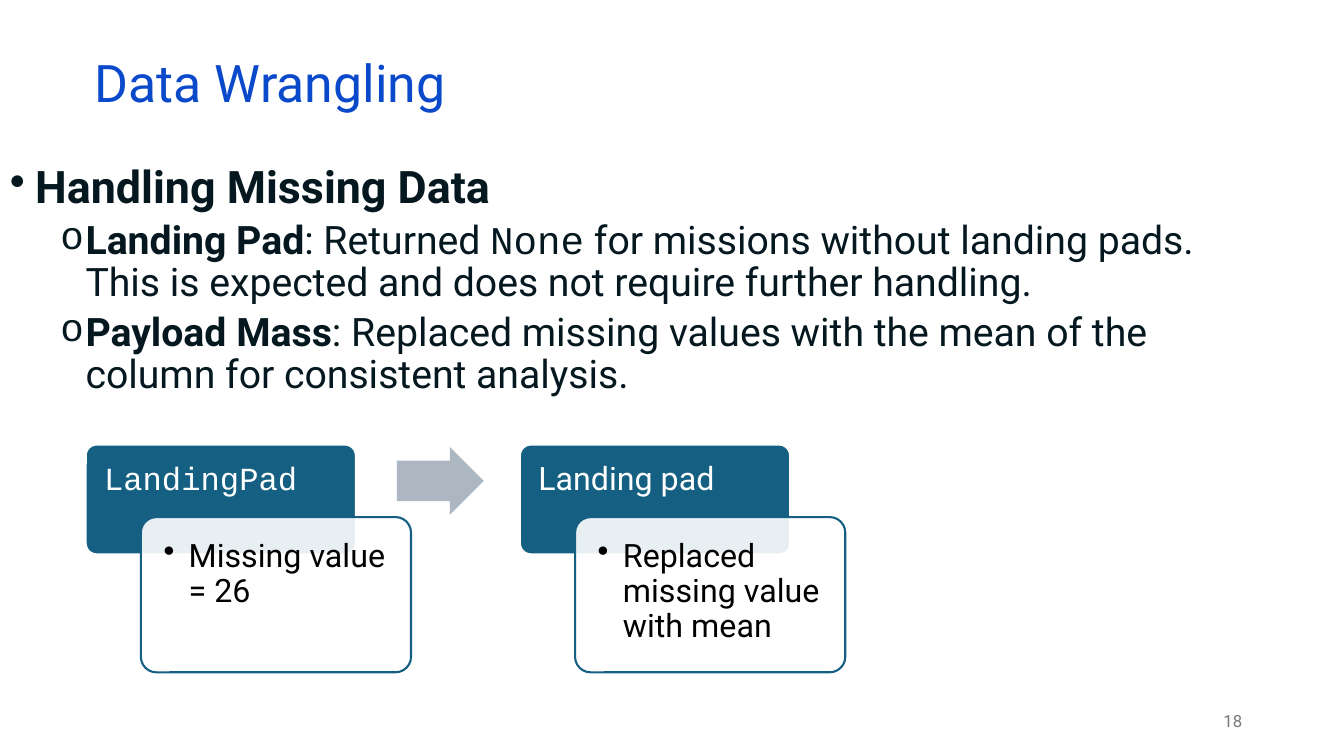
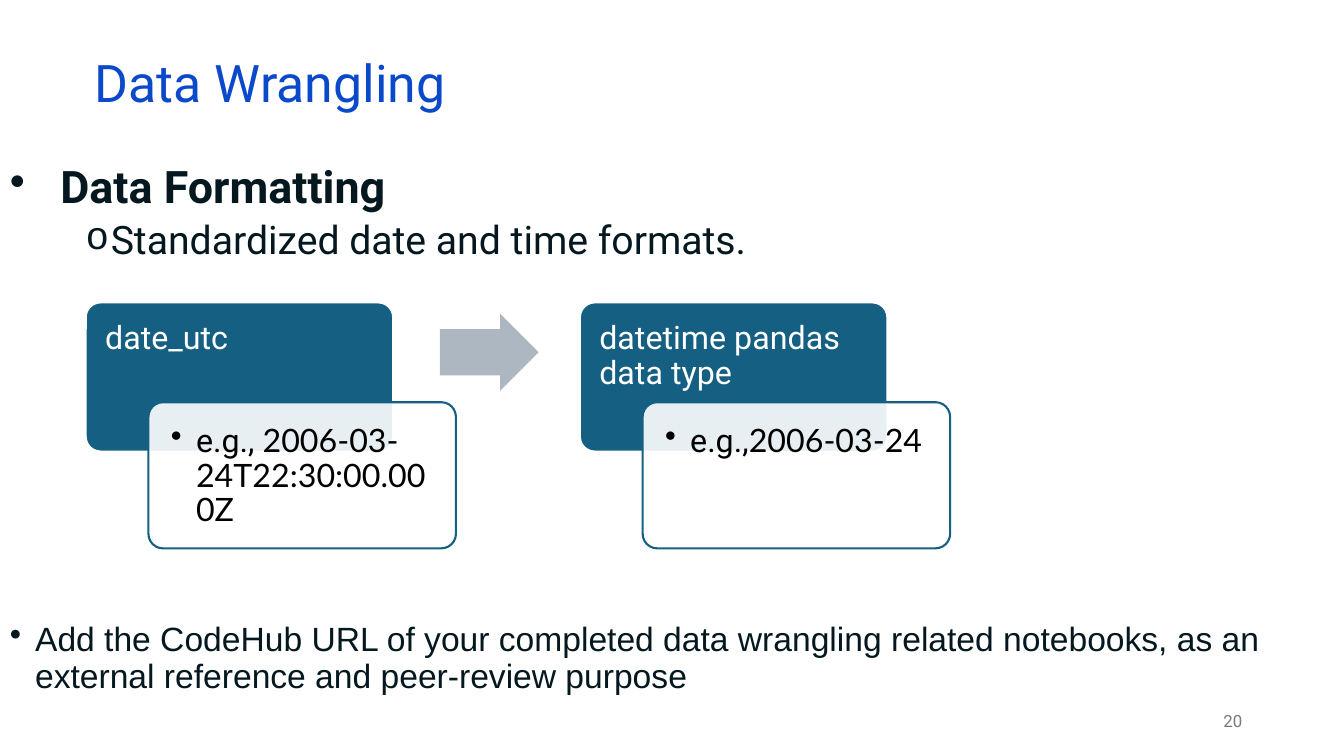
from lxml import etree
from pptx import Presentation
from pptx.dml.color import RGBColor
from pptx.enum.shapes import MSO_SHAPE
from pptx.enum.text import MSO_ANCHOR, MSO_AUTO_SIZE, PP_ALIGN
from pptx.oxml.ns import qn
from pptx.util import Inches, Pt

ROUNDED, ARROW = MSO_SHAPE.ROUNDED_RECTANGLE, MSO_SHAPE.RIGHT_ARROW
TOP, MIDDLE = MSO_ANCHOR.TOP, MSO_ANCHOR.MIDDLE
LEFT, RIGHT = PP_ALIGN.LEFT, PP_ALIGN.RIGHT
FIXED = MSO_AUTO_SIZE.NONE

BLUE, INK, GREY = "0B49CB", "051820", "797979"
TEAL, SILVER, WHITE, BLACK = "156082", "ACB7C1", "FFFFFF", "000000"
SANS, MONO, DIGITS, PLAIN = "Roboto", "Courier New", "Lato", "Arial"

TITLE = "Data Wrangling"
BOLD = {"bold": True}
HEADING = {"size": 32, "bullet": "•", "bold": True}
POINT = {"size": 28, "bullet": "o", "bullet_font": MONO, "before": 5, "hang": 0.25}
NOTE = {"size": 24, "bullet": "•", "font": PLAIN, "indent": 0.25, "hang": 0.25}

SLIDES = [
    {
        "number": "18",
        "texts": [
            (1.59, 2.5, [
                ("Handling Missing Data", {**HEADING, "indent": 0.25, "hang": 0.25}),
                ([("Landing Pad", BOLD), ": Returned ", ("None", {"font": MONO}),
                  " for missions without landing pads. This is expected and does "
                  "not require further handling."], {**POINT, "indent": 0.75}),
                ([("Payload Mass", BOLD),
                  ": Replaced missing values with the mean of the column for "
                  "consistent analysis."], {**POINT, "indent": 0.75}),
            ]),
        ],
        "flow": {
            "top": 4.41, "width": 2.68, "head": 1.09, "drop": 0.72, "card": 1.54,
            "steps": [
                ([("LandingPad", {"font": MONO})], "Missing value = 26"),
                ("Landing pad", "Replaced missing value with mean"),
            ],
        },
    },
    {
        "number": "20",
        "texts": [
            (1.59, 1.2, [
                ("Data Formatting", {**HEADING, "indent": 0.5, "hang": 0.5}),
                ("Standardized date and time formats.", {**POINT, "indent": 1}),
            ]),
            (6.13, 0.85, [
                ("Add the CodeHub URL of your completed data wrangling related "
                 "notebooks, as an external reference and peer-review purpose", NOTE),
            ]),
        ],
        "flow": {
            "top": 3, "width": 3.05, "head": 1.48, "drop": 0.99, "card": 1.45,
            "steps": [
                ("date_utc",
                 ["e.g., ", ("2006-03-24T22:30:00.000Z", {"font": DIGITS})]),
                ("datetime pandas data type",
                 ["e.g.,", ("2006-03-24", {"font": DIGITS})]),
            ],
        },
    },
]


def color(value):
    return RGBColor.from_string(value)


def add_bullet(para, char, font, indent, hang):
    props = para._p.get_or_add_pPr()
    props.set("marL", str(Inches(indent)))
    props.set("indent", str(-Inches(hang)))
    if font:
        etree.SubElement(props, qn("a:buFont")).set("typeface", font)
    etree.SubElement(props, qn("a:buChar")).set("char", char)


def write(para, text, size, font=SANS, fill=INK, bold=False, align=LEFT, spacing=0.9,
          before=0, bullet=None, bullet_font=None, indent=0, hang=0):
    if bullet:
        add_bullet(para, bullet, bullet_font, indent, hang)
    para.alignment = align
    para.line_spacing = spacing
    para.space_before = Pt(before)
    for part in [text] if isinstance(text, str) else text:
        words, changes = (part, {}) if isinstance(part, str) else part
        span = para.add_run()
        span.text = words
        span.font.size = Pt(size)
        span.font.name = changes.get("font", font)
        span.font.bold = changes.get("bold", bold)
        span.font.color.rgb = color(fill)


def set_frame(shape, anchor=TOP, inset=None):
    frame = shape.text_frame
    frame.word_wrap = True
    frame.auto_size = FIXED
    frame.vertical_anchor = anchor
    if inset is not None:
        frame.margin_left = frame.margin_right = Inches(inset)
        frame.margin_top = frame.margin_bottom = Inches(inset)
    return frame


def add_title(page):
    title = page.shapes.title
    title.left, title.top = Inches(0.84), Inches(0.59)
    title.width, title.height = Inches(11.5), Inches(0.6)
    write(set_frame(title, MIDDLE).paragraphs[0], TITLE, 37, fill=BLUE, spacing=0.7)


def add_text(page, left, top, width, height, lines, anchor=TOP):
    box = page.shapes.add_textbox(Inches(left), Inches(top), Inches(width), Inches(height))
    frame = set_frame(box, anchor)
    for index, (text, style) in enumerate(lines):
        para = frame.add_paragraph() if index else frame.paragraphs[0]
        write(para, text, **style)


def add_shape(page, kind, left, top, width, height, fill, line=None, adjust=(0.1,), alpha=None):
    shape = page.shapes.add_shape(kind, Inches(left), Inches(top), Inches(width), Inches(height))
    shape.shadow.inherit = False
    for index, value in enumerate(adjust):
        shape.adjustments[index] = value
    shape.fill.solid()
    shape.fill.fore_color.rgb = color(fill)
    if alpha:
        tint = shape.fill._xPr.find(qn("a:solidFill"))[0]
        etree.SubElement(tint, qn("a:alpha")).set("val", str(alpha * 1000))
    if line:
        shape.line.color.rgb = color(line)
        shape.line.width = Pt(1.5)
    else:
        shape.line.fill.background()
    return shape


def add_flow(page, top, width, head, drop, card, steps):
    for index, (label, detail) in enumerate(steps):
        left = 0.85 + index * 1.607 * width
        header = add_shape(page, ROUNDED, left, top, width, head, TEAL, WHITE)
        write(set_frame(header, inset=0.15).paragraphs[0], label, 23, fill=WHITE)
        body = add_shape(page, ROUNDED, left + 0.204 * width, top + drop, width, card,
                         WHITE, TEAL, alpha=90)
        write(set_frame(body, inset=0.18).paragraphs[0], detail, 23, fill=BLACK,
              bullet="•", indent=0.25, hang=0.25)
        if index < len(steps) - 1:
            height = 0.25 * width
            add_shape(page, ARROW, left + 1.152 * width, top + (drop - height) / 2,
                      0.321 * width, height, SILVER, adjust=(0.6, 0.5))


def main():
    deck = Presentation()
    deck.slide_width, deck.slide_height = Inches(13.33), Inches(7.5)
    for content in SLIDES:
        page = deck.slides.add_slide(deck.slide_layouts[5])
        add_title(page)
        for top, height, lines in content["texts"]:
            add_text(page, 0, top, 12.61, height, lines)
        add_flow(page, **content["flow"])
        number = {"size": 12, "fill": GREY, "align": RIGHT, "spacing": 1}
        add_text(page, 9.42, 6.95, 3, 0.4, [(content["number"], number)], MIDDLE)
    deck.save("out.pptx")


if __name__ == "__main__":
    main()
